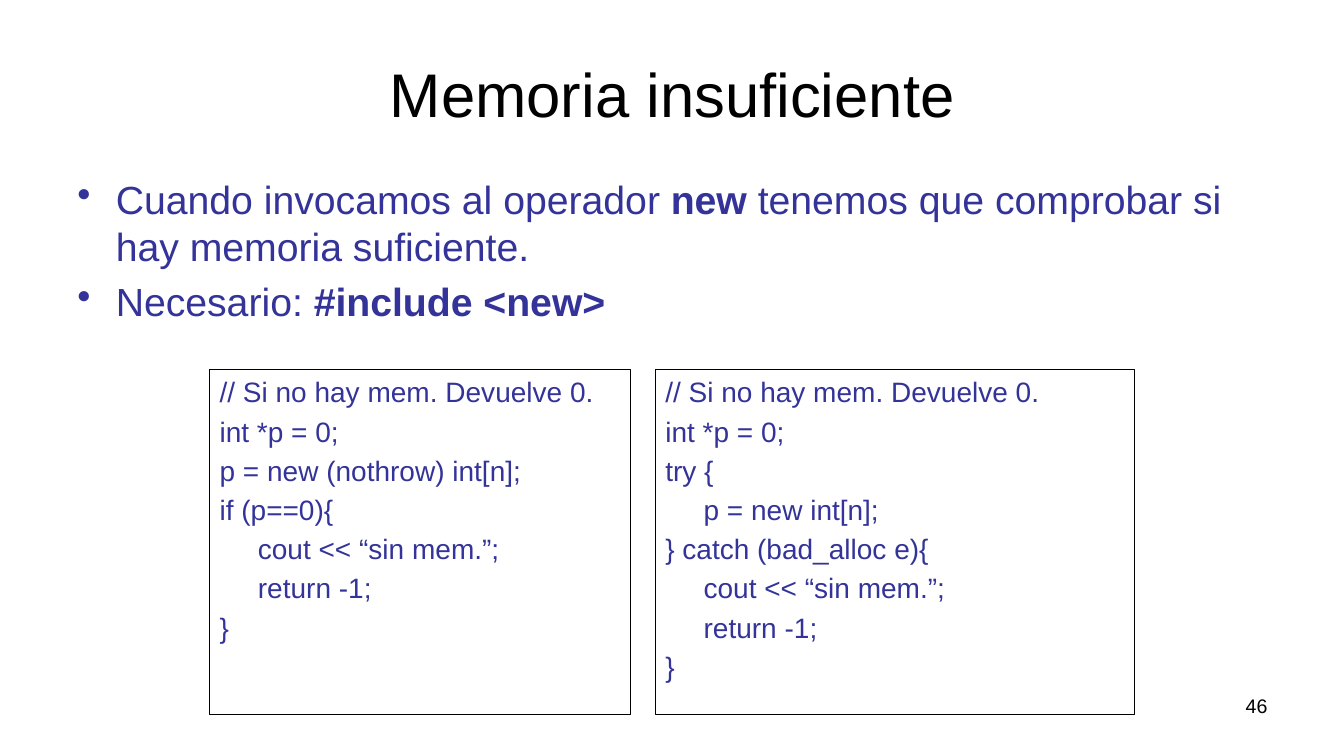
from lxml.etree import SubElement
from pptx import Presentation
from pptx.dml.color import RGBColor
from pptx.enum.shapes import MSO_SHAPE as Shape
from pptx.enum.text import MSO_ANCHOR as Anchor, PP_ALIGN as Align
from pptx.oxml.ns import qn
from pptx.util import Inches, Pt

BLACK, INDIGO = "000000", "333399"
FONT = "Arial"
HANG = 0.38

TITLE = "Memoria insuficiente"
PAGE = "46"
POINTS = [
    [("Cuando invocamos al operador ", False), ("new", True),
     (" tenemos que comprobar si hay memoria suficiente. ", False)],
    [("Necesario: ", False), ("#include <new>", True)],
]
OPENING = ["// Si no hay mem. Devuelve 0.", "int *p = 0;"]
FAILURE = ["\tcout << “sin mem.”;", "\treturn -1;", "}"]
NOTHROW = OPENING + ["p = new (nothrow) int[n];", "if (p==0){"] + FAILURE
CATCH = OPENING + ["try {", "\tp = new int[n];", "} catch (bad_alloc e){"] + FAILURE

CODE_LEFT, CODE_TOP, CODE_HEIGHT, CODE_GAP = 2.08, 3.67, 3.42, 0.25
CODE_BLOCKS = [(4.17, NOTHROW), (4.75, CATCH)]


def color(value):
    return RGBColor.from_string(value)


def write(holder, paragraphs, size, ink, align=Align.LEFT, anchor=Anchor.TOP,
          hanging=False, bullet=None):
    frame = holder.text_frame
    frame.word_wrap = True
    frame.vertical_anchor = anchor
    for index, runs in enumerate(paragraphs):
        paragraph = frame.add_paragraph() if index else frame.paragraphs[0]
        paragraph.alignment = align
        if hanging:
            props = paragraph._p.get_or_add_pPr()
            props.set("marL", str(Inches(HANG)))
            props.set("indent", str(Inches(-HANG)))
            before = SubElement(props, qn("a:spcBef"))
            SubElement(before, qn("a:spcPct")).set("val", "20000")
            if bullet:
                SubElement(props, qn("a:buChar")).set("char", bullet)
            else:
                SubElement(props, qn("a:buNone"))
        for text, bold in runs:
            run = paragraph.add_run()
            run.text = text
            run.font.name = FONT
            run.font.size = Pt(size)
            run.font.bold = bold
            run.font.color.rgb = color(ink)


def plain(lines):
    return [[(line, False)] for line in lines]


deck = Presentation()
deck.slide_width, deck.slide_height = Inches(13.33), Inches(7.5)
slide = deck.slides.add_slide(deck.slide_layouts[6])


def text_box(*box):
    return slide.shapes.add_textbox(*map(Inches, box))


write(text_box(9.56, 6.83, 3.11, 0.52), plain([PAGE]), 14, BLACK, Align.RIGHT)
write(text_box(0.67, 0.3, 12, 1.25), plain([TITLE]), 44, BLACK,
      Align.CENTER, Anchor.MIDDLE)
write(text_box(0.67, 1.69, 12.16, 1.83), POINTS, 28, INDIGO,
      hanging=True, bullet="•")

left = CODE_LEFT
for width, code in CODE_BLOCKS:
    block = slide.shapes.add_shape(
        Shape.RECTANGLE, *map(Inches, (left, CODE_TOP, width, CODE_HEIGHT)))
    block.shadow.inherit = False
    block.fill.background()
    block.line.color.rgb = color(BLACK)
    block.line.width = Pt(0.75)
    write(block, plain(code), 20, INDIGO, hanging=True)
    left += width + CODE_GAP

deck.save("out.pptx")
